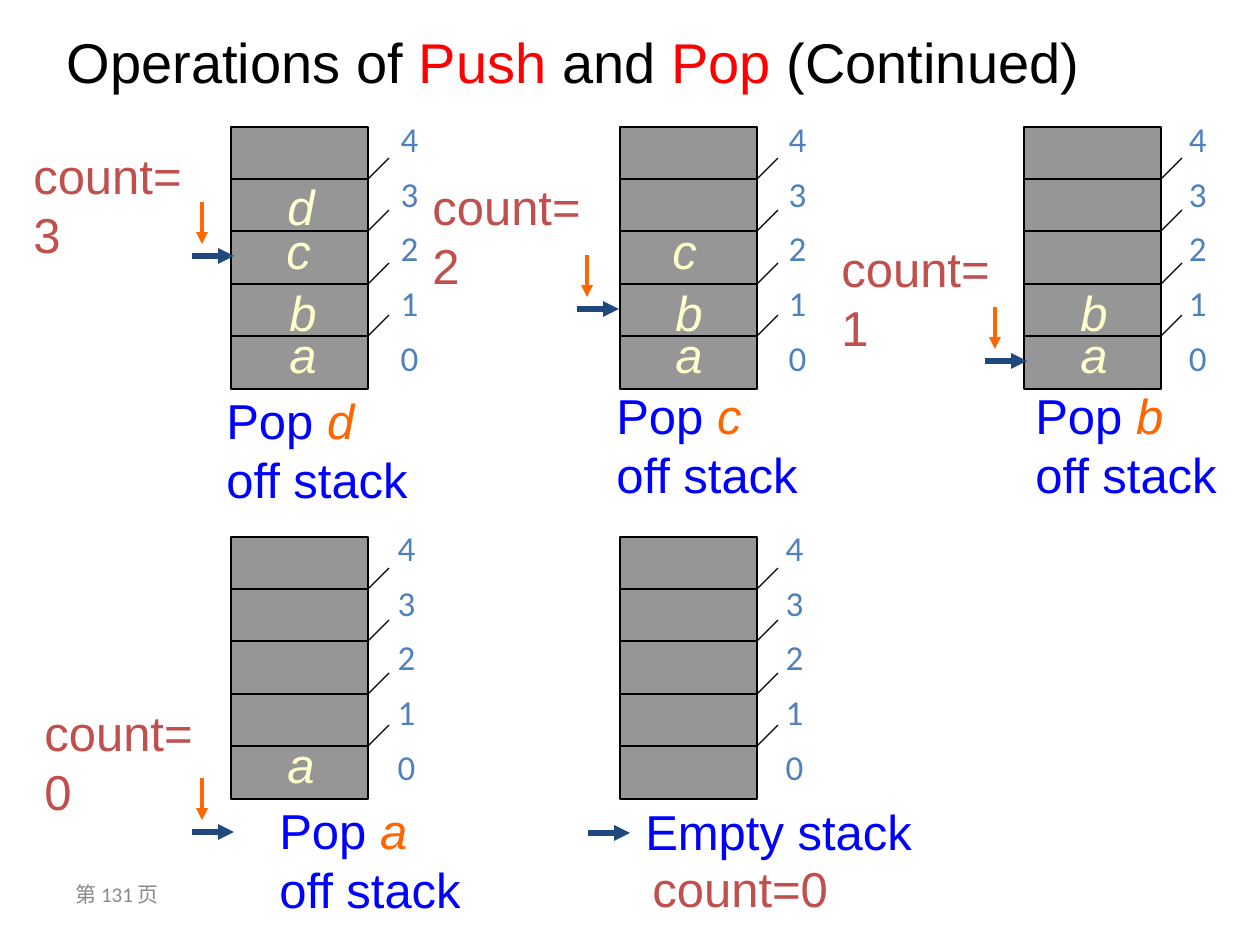
import dataclasses
import typing

import lxml.etree
import pptx
import pptx.dml.color
import pptx.enum.shapes
import pptx.enum.text
import pptx.oxml.ns
import pptx.util

SCALE = 914400 / 126
WIDE, TALL, SLOTS, TICK = 137, 262, 5, 21
ANCHOR = pptx.enum.text.MSO_ANCHOR
FIT = pptx.enum.text.MSO_AUTO_SIZE


@dataclasses.dataclass(frozen=True)
class Theme:
    black: str = "000000"
    red: str = "FF0000"
    blue: str = "0000FF"
    orange: str = "FF6600"
    navy: str = "1F497D"
    cream: str = "FFFFCC"
    brick: str = "C0504D"
    steel: str = "4F81BD"
    mute: str = "898989"
    slot: str = "969696"
    head: int = 32
    body: int = 28
    index: int = 20
    foot: int = 12
    sans: str = "Arial"
    alt: str = "Calibri"


class Run(typing.NamedTuple):
    text: str
    color: str
    size: int = 28
    font: str = "Arial"
    slant: bool = False


class Box(typing.NamedTuple):
    x: int
    y: int
    w: int
    h: int


class Point(typing.NamedTuple):
    x: int
    y: int


@dataclasses.dataclass(frozen=True)
class Stack:
    x: int
    y: int
    items: str
    inset: int
    index: Box
    arrow: Point
    count: Box
    label: Box


T = Theme()
DROP = {"a": Point(0, 191), "b": Point(0, 149), "c": Point(-3, 87), "d": Point(-2, 43)}
STACKS = [
    Stack(231, 127, "abcd", 46, Box(392, 105, 21, 273), Point(192, 256),
          Box(21, 139, 199, 131), Box(214, 384, 207, 131)),
    Stack(620, 127, "abc", 43, Box(780, 105, 21, 273), Point(577, 309),
          Box(420, 170, 199, 131), Box(604, 379, 207, 131)),
    Stack(1024, 127, "ab", 44, Box(1189, 105, 10, 273), Point(985, 361),
          Box(829, 232, 199, 131), Box(1023, 379, 207, 131)),
    Stack(231, 537, "a", 44, Box(389, 514, 21, 273), Point(192, 832),
          Box(32, 696, 199, 131), Box(267, 794, 207, 131)),
    Stack(620, 537, "", 44, Box(777, 514, 21, 273), Point(588, 833),
          Box(640, 852, 247, 72), Box(633, 795, 312, 72)),
]


def px(n: int) -> int:
    return round(n * SCALE)


def rgb(code: str) -> pptx.dml.color.RGBColor:
    return pptx.dml.color.RGBColor.from_string(code)


def write(para, runs: list[Run], space: float = 1.0) -> None:
    para.line_spacing = space
    for item in runs:
        run = para.add_run()
        run.text = item.text
        font = run.font
        font.name, font.size = item.font, pptx.util.Pt(item.size)
        font.italic = item.slant
        font.color.rgb = rgb(item.color)


def text(slide, box: Box, lines: list[list[Run]], wrap: bool = True,
         space: float = 1.0, anchor=ANCHOR.TOP, fit=FIT.SHAPE_TO_FIT_TEXT):
    frame = slide.shapes.add_textbox(*map(px, box)).text_frame
    frame.word_wrap, frame.auto_size = wrap, fit
    frame.vertical_anchor = anchor
    for i, runs in enumerate(lines):
        para = frame.add_paragraph() if i else frame.paragraphs[0]
        write(para, runs, space)
    return frame


def line(slide, start: Point, end: Point, color: str = T.black,
         width: float = 0.75, tip: bool = False) -> None:
    kind = pptx.enum.shapes.MSO_CONNECTOR.STRAIGHT
    link = slide.shapes.add_connector(kind, *map(px, start + end))
    link.line.color.rgb = rgb(color)
    link.line.width = pptx.util.Pt(width)
    qn = pptx.oxml.ns.qn
    if tip:
        lxml.etree.SubElement(link.line._get_or_add_ln(), qn("a:tailEnd"), type="triangle")
    lxml.etree.SubElement(link._element.spPr, qn("a:effectLst"))


def shade(run) -> None:
    qn = pptx.oxml.ns.qn
    effect = lxml.etree.Element(qn("a:effectLst"))
    shadow = lxml.etree.SubElement(effect, qn("a:outerShdw"), dist="17961", dir="2700000")
    lxml.etree.SubElement(shadow, qn("a:srgbClr"), val="C0C0C0")
    run.font._element.find(qn("a:solidFill")).addnext(effect)


def frame(slide, stack: Stack) -> None:
    kind = pptx.enum.shapes.MSO_SHAPE.RECTANGLE
    rect = slide.shapes.add_shape(kind, *map(px, (stack.x, stack.y, WIDE, TALL)))
    rect.shadow.inherit = False
    rect.fill.solid()
    rect.fill.fore_color.rgb = rgb(T.slot)
    rect.line.color.rgb = rgb(T.black)
    rect.line.width = pptx.util.Pt(0.75)
    right = stack.x + WIDE
    for i in range(1, SLOTS):
        y = stack.y + TALL * i // SLOTS
        line(slide, Point(stack.x, y), Point(right, y))
        line(slide, Point(right, y), Point(right + TICK, y - TICK))
    digits = [[Run(str(n), T.steel, T.index, T.alt)] for n in reversed(range(SLOTS))]
    index = text(slide, stack.index, digits, False, 1.3, ANCHOR.MIDDLE, FIT.NONE)
    for para in index.paragraphs:
        shade(para.runs[0])


def draw(slide, stack: Stack) -> None:
    frame(slide, stack)
    for char in stack.items:
        shift = DROP[char]
        box = Box(stack.x + stack.inset + shift.x, stack.y + shift.y,
                  49 if char == "c" else 52, 72)
        text(slide, box, [[Run(char, T.cream, T.body, T.sans, True)]], False)
    x, y = stack.arrow
    line(slide, stack.arrow, Point(x + 42, y), T.navy, 3, True)
    count = max(len(stack.items) - 1, 0)
    text(slide, stack.count, [[Run(f"count={count}", T.brick, T.body)]])
    if stack.items:
        line(slide, Point(x + 10, y - 54), Point(x + 10, y - 12), T.orange, 2.25, True)
        pop = [Run("Pop ", T.blue, T.body),
               Run(stack.items[-1], T.orange, T.body, T.sans, True)]
        text(slide, stack.label, [pop, [Run("off stack", T.blue, T.body)]], False)
    else:
        text(slide, stack.label, [[Run("Empty stack", T.blue, T.body)]])


def title(slide) -> None:
    shape = slide.shapes.title
    shape.left, shape.top, shape.width, shape.height = map(px, Box(54, 11, 1155, 91))
    body = shape.text_frame
    body.word_wrap, body.auto_size = True, FIT.NONE
    body.vertical_anchor = ANCHOR.TOP
    para = body.paragraphs[0]
    para.alignment = pptx.enum.text.PP_ALIGN.LEFT
    parts = [("Operations of ", T.black), ("Push", T.red), (" and ", T.black),
             ("Pop", T.red), (" (Continued)", T.black)]
    write(para, [Run(words, color, T.head) for words, color in parts], 1.15)


def main() -> None:
    deck = pptx.Presentation()
    deck.slide_width, deck.slide_height = px(1260), px(945)
    slide = deck.slides.add_slide(deck.slide_layouts[5])
    title(slide)
    for stack in STACKS:
        draw(slide, stack)
    text(slide, Box(63, 861, 294, 66), [[Run("第 131 页", T.mute, T.foot, T.alt)]],
         anchor=ANCHOR.MIDDLE, fit=FIT.NONE)
    deck.save("out.pptx")


if __name__ == "__main__":
    main()
